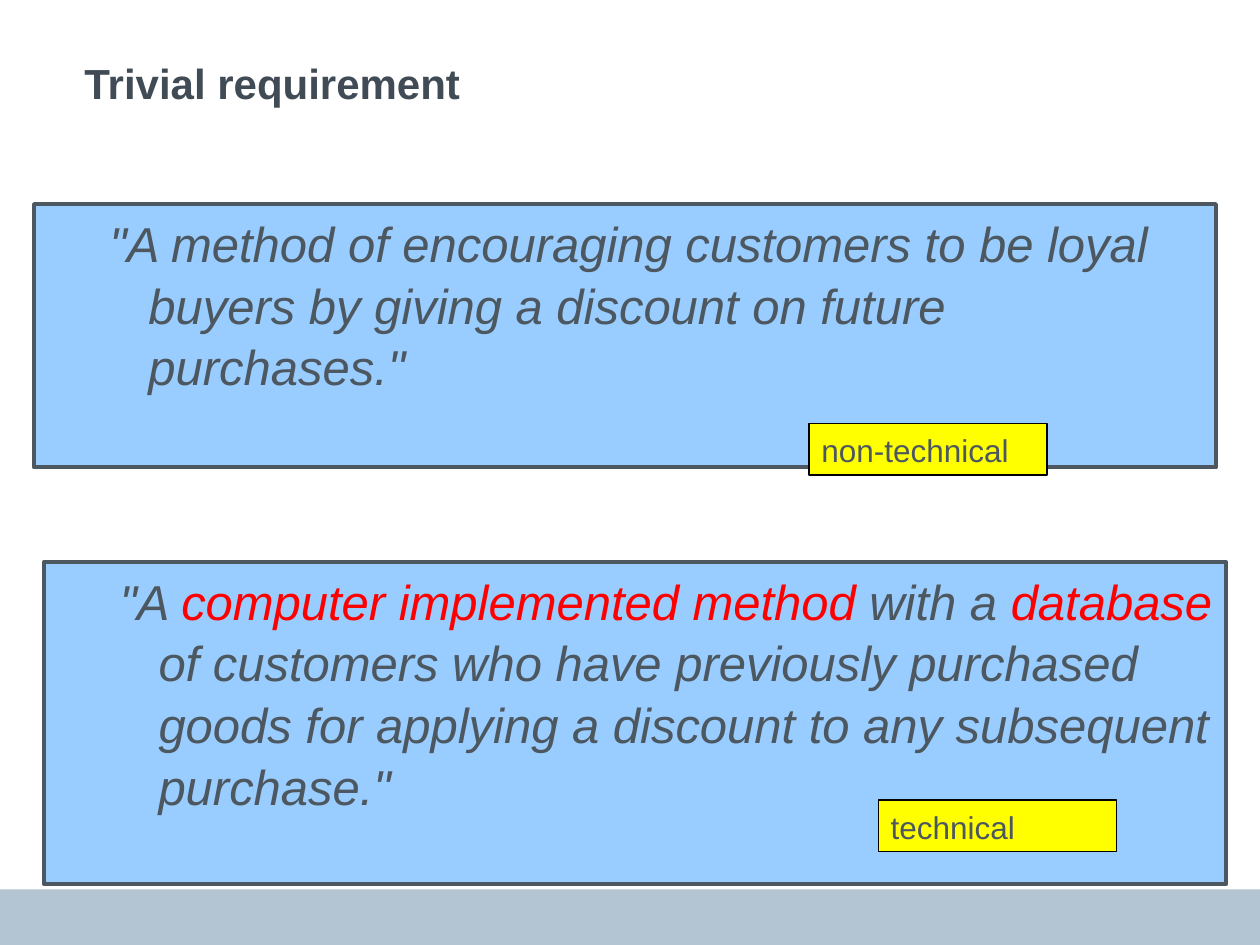
from pptx import Presentation
from pptx.dml.color import RGBColor
from pptx.enum.shapes import MSO_SHAPE
from pptx.enum.text import MSO_ANCHOR, PP_ALIGN
from pptx.util import Inches, Pt

WIDE, HIGH = Inches(10), Inches(7.5)
HUES = {
    "band": "B3C5D2",
    "title": "404B56",
    "text": "4C575F",
    "claim": "99CCFF",
    "tag": "FFFF00",
    "edge": "000000",
    "mark": "FF0000",
}


def hue(name):
    return RGBColor.from_string(HUES[name])


def place(left, top, width, height):
    return [
        round(WIDE * left),
        round(HIGH * top / 0.75),
        round(WIDE * width),
        round(HIGH * height / 0.75),
    ]


def write(shape, runs, size=18, bold=False, italic=False,
          pad=(0.1, 0.05), left=0, first=0):
    frame = shape.text_frame
    frame.word_wrap = True
    frame.vertical_anchor = MSO_ANCHOR.TOP
    frame.margin_left = frame.margin_right = Inches(pad[0])
    frame.margin_top = frame.margin_bottom = Inches(pad[1])
    para = frame.paragraphs[0]
    para.alignment = PP_ALIGN.LEFT
    para.line_spacing = 1.05
    props = para._p.get_or_add_pPr()
    props.set("marL", str(Inches(left)))
    props.set("indent", str(Inches(first)))
    for text, color in runs:
        run = para.add_run()
        run.text = text
        font = run.font
        font.name = "Arial"
        font.size = Pt(size)
        font.bold = bold
        font.italic = italic
        font.color.rgb = hue(color)


def add_box(slide, area, fill, edge=None, weight=0):
    box = slide.shapes.add_shape(MSO_SHAPE.RECTANGLE, *place(*area))
    box.shadow.inherit = False
    box.fill.solid()
    box.fill.fore_color.rgb = hue(fill)
    if edge:
        box.line.color.rgb = hue(edge)
        box.line.width = Pt(weight)
    else:
        box.line.fill.background()
    return box


def add_title(slide, text):
    box = slide.shapes.add_textbox(*place(0.067, 0.044, 0.866, 0.102))
    write(box, [(text, "title")], size=24, bold=True, pad=(0, 0))


def add_claim(slide, left, top, height, runs):
    box = add_box(slide, (left, top, 0.938, height), "claim", "text", 2.25)
    write(box, runs, size=28, italic=True, left=0.81, first=-0.31)


def add_tag(slide, left, top, text):
    box = add_box(slide, (left, top, 0.189, 0.041), "tag", "edge", 0.75)
    write(box, [(text, "text")])


def main():
    deck = Presentation()
    deck.slide_width, deck.slide_height = WIDE, HIGH
    slide = deck.slides.add_slide(deck.slide_layouts[6])
    add_box(slide, (0, 0.706, 1, 0.044), "band")
    add_title(slide, "Trivial requirement")
    add_claim(slide, 0.027, 0.162, 0.209, [
        ('"A method of encouraging customers to be loyal buyers '
         'by giving a discount on future purchases."', "text"),
    ])
    add_claim(slide, 0.035, 0.446, 0.256, [
        ('"A ', "text"),
        ("computer implemented method ", "mark"),
        ("with a ", "text"),
        ("database", "mark"),
        (" of customers who have previously purchased goods "
         'for applying a discount to any subsequent purchase."', "text"),
    ])
    add_tag(slide, 0.642, 0.336, "non-technical")
    add_tag(slide, 0.697, 0.635, "technical")
    deck.save("out.pptx")


if __name__ == "__main__":
    main()
